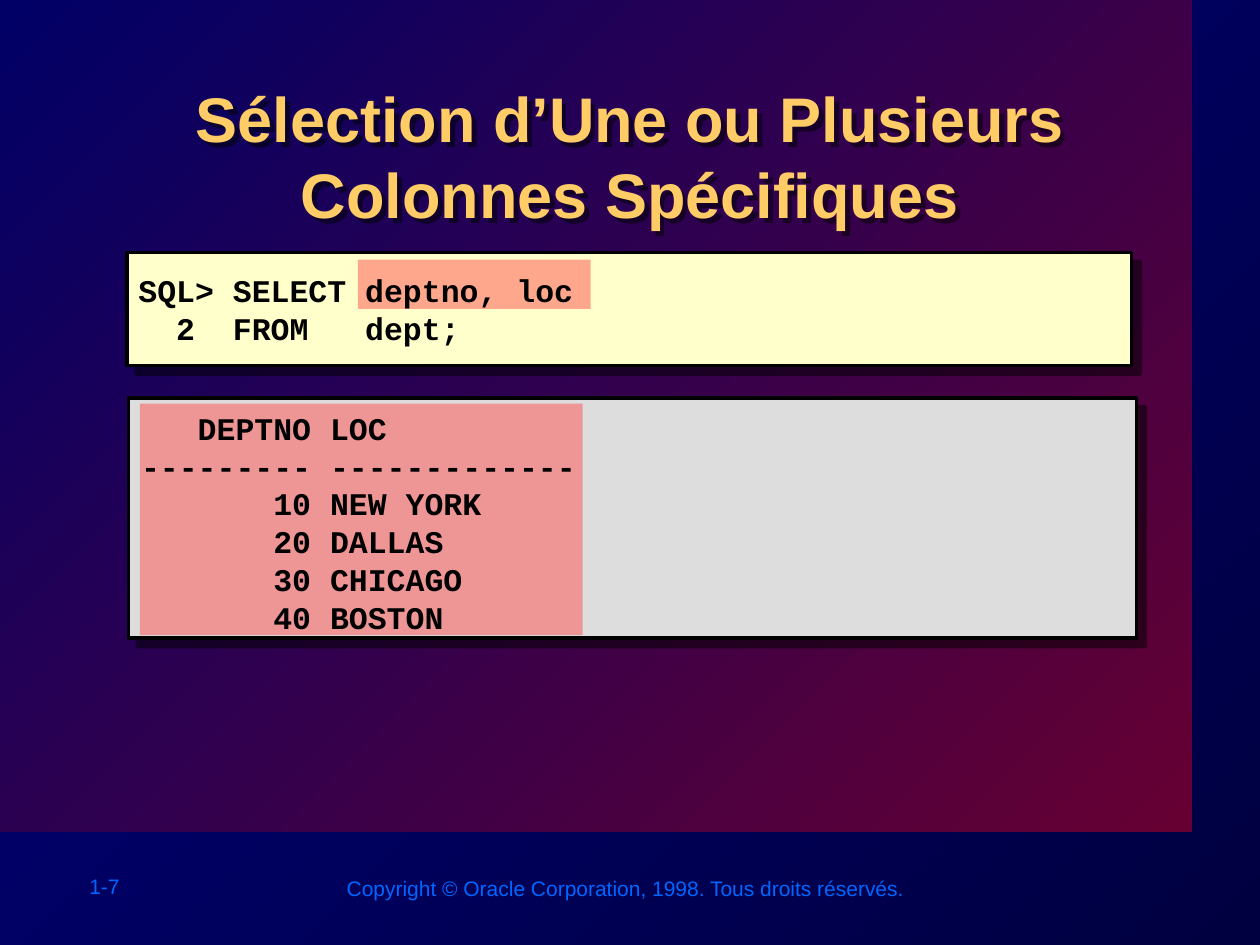
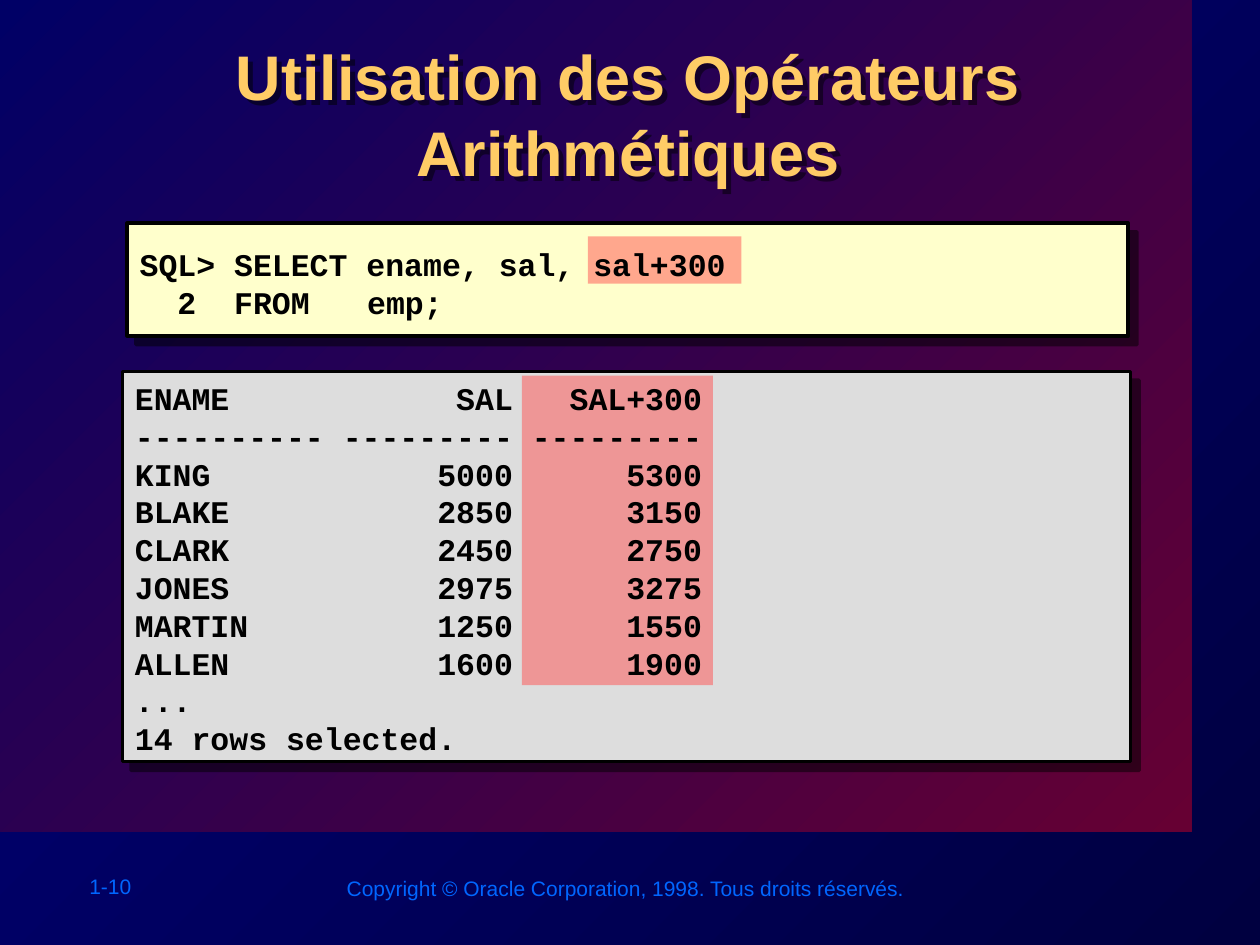
from lxml import etree
from pptx import Presentation
from pptx.dml.color import RGBColor
from pptx.enum import shapes, text
from pptx.oxml import ns
from pptx.util import Pt

NIGHT_BLUE = RGBColor(0x00, 0x00, 0x80)
DARK_BLUE = RGBColor(0x00, 0x00, 0x40)
PANEL_BLUE = RGBColor(0x00, 0x00, 0x66)
PANEL_RED = RGBColor(0x66, 0x00, 0x33)
FOOTER_BLUE = RGBColor(0x00, 0x66, 0xFF)
TITLE_GOLD = RGBColor(0xFF, 0xCC, 0x66)
QUERY_CREAM = RGBColor(0xFF, 0xFF, 0xCC)
RESULT_GREY = RGBColor(0xDD, 0xDD, 0xDD)
HIGHLIGHT_RED = RGBColor(0xFF, 0x50, 0x50)
BLACK = RGBColor(0x00, 0x00, 0x00)

COPYRIGHT = "Copyright © Oracle Corporation, 1998. Tous droits réservés."

DEPARTMENTS = """\
   DEPTNO LOC
--------- -------------
       10 NEW YORK
       20 DALLAS
       30 CHICAGO
       40 BOSTON"""

SALARIES = """\
ENAME            SAL   SAL+300
---------- --------- ---------
KING            5000      5300
BLAKE           2850      3150
CLARK           2450      2750
JONES           2975      3275
MARTIN          1250      1550
ALLEN           1600      1900
...
14 rows selected."""


class Deck:
    heading_font = "Arial"
    code_font = "Courier New"
    line_height = 1.2
    code_tab = 130

    def __init__(self):
        self.presentation = Presentation()
        self.presentation.slide_width = Pt(720)
        self.presentation.slide_height = Pt(540)
        self.slide = None

    def add_slide(self, number, title, title_at):
        self.slide = self.presentation.slides.add_slide(self.presentation.slide_layouts[6])
        self.gradient(self.slide.background.fill, NIGHT_BLUE, DARK_BLUE)
        panel = self.rectangle((0, 0, 681, 475))
        self.gradient(panel.fill, PANEL_BLUE, PANEL_RED)
        self.text((44, 495.5, 80, 22), number, 12, FOOTER_BLUE)
        self.text((191, 497, 336, 22), COPYRIGHT, 12, FOOTER_BLUE)
        heading = self.text((*title_at, 575, 69), title, 36, TITLE_GOLD, bold=True)
        heading.text_frame.paragraphs[0].alignment = text.PP_ALIGN.CENTER
        self.shadow(heading, 4)

    def gradient(self, fill, start, end):
        fill.gradient()
        fill.gradient_angle = 315
        for stop, color, position in zip(fill.gradient_stops, (start, end), (0, 1)):
            stop.color.rgb = color
            stop.position = position

    def shadow(self, shape, distance):
        shape.shadow.inherit = False
        effects = shape._element.spPr.find(ns.qn("a:effectLst"))
        outer = etree.SubElement(effects, ns.qn("a:outerShdw"), dist=str(Pt(distance)),
                                 dir="2700000", algn="ctr", rotWithShape="0")
        color = etree.SubElement(outer, ns.qn("a:srgbClr"), val=str(BLACK))
        etree.SubElement(color, ns.qn("a:alpha"), val="50000")

    def rectangle(self, at):
        shape = self.slide.shapes.add_shape(shapes.MSO_SHAPE.RECTANGLE, *map(Pt, at))
        shape.shadow.inherit = False
        shape.line.fill.background()
        return shape

    def box(self, at, color):
        shape = self.rectangle(at)
        shape.fill.solid()
        shape.fill.fore_color.rgb = color
        shape.line.color.rgb = BLACK
        shape.line.width = Pt(2)
        self.shadow(shape, 7.1)

    def highlight(self, at):
        shape = self.rectangle(at)
        shape.fill.solid()
        shape.fill.fore_color.rgb = HIGHLIGHT_RED
        color = shape._element.spPr.find(".//" + ns.qn("a:srgbClr"))
        etree.SubElement(color, ns.qn("a:alpha"), val="50000")

    def text(self, at, content, size, color, font=heading_font, bold=False):
        shape = self.slide.shapes.add_textbox(*map(Pt, at))
        frame = shape.text_frame
        frame.word_wrap = True
        frame.text = content
        for paragraph in frame.paragraphs:
            paragraph.line_spacing = Pt(size * self.line_height)
            if font == self.code_font:
                tabs = etree.SubElement(paragraph._p.get_or_add_pPr(), ns.qn("a:tabLst"))
                etree.SubElement(tabs, ns.qn("a:tab"), pos=str(Pt(self.code_tab)), algn="l")
            paragraph.font.name = font
            paragraph.font.size = Pt(size)
            paragraph.font.bold = bold
            paragraph.font.color.rgb = color
        return shape

    def code(self, at, content):
        return self.text(at, content, 18, BLACK, self.code_font, bold=True)

    def query(self, at, content):
        shape = self.code(at, content)
        shape.text_frame.vertical_anchor = text.MSO_ANCHOR.MIDDLE


def main():
    deck = Deck()

    deck.add_slide("1-7", "Sélection d’Une ou Plusieurs Colonnes Spécifiques", (72.5, 42))
    deck.box((73.5, 227.5, 576, 137), RESULT_GREY)
    deck.box((72.7, 144.3, 574, 64.5), QUERY_CREAM)
    deck.highlight((204.5, 148.3, 133, 28.2))
    deck.highlight((79.9, 230.6, 253.1, 132.4))
    deck.code((73.5, 230, 574, 137), DEPARTMENTS)
    deck.query((72, 143, 576, 67), "SQL> SELECT deptno, loc\n  2  FROM   dept;")

    deck.add_slide("1-10", "Utilisation des Opérateurs Arithmétiques", (71.3, 18))
    deck.box((72.7, 127.5, 572, 64.5), QUERY_CREAM)
    deck.box((70, 212.3, 576, 223), RESULT_GREY)
    deck.highlight((336, 135, 87.7, 27))
    deck.highlight((298.3, 214.6, 109.2, 177))
    deck.query((72.7, 128, 574, 67), "SQL> SELECT ename, sal, sal+300\n  2  FROM\temp;")
    deck.code((70, 213, 578, 223), SALARIES)

    deck.presentation.save("out.pptx")


if __name__ == "__main__":
    main()
